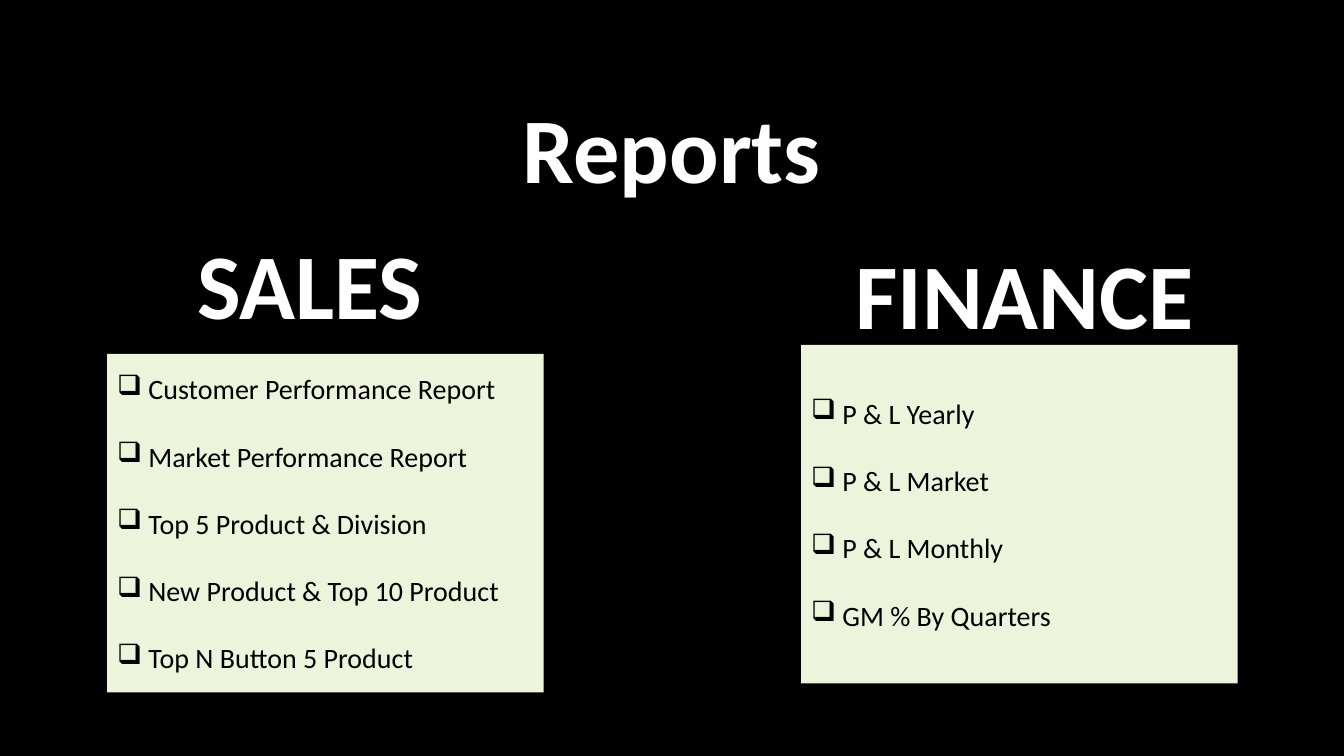
from lxml.etree import SubElement
from pptx import Presentation
from pptx.dml.color import RGBColor
from pptx.enum.shapes import MSO_SHAPE
from pptx.enum.text import MSO_ANCHOR, PP_ALIGN
from pptx.oxml.ns import qn
from pptx.util import Cm, Pt


def rgb(value):
    return RGBColor.from_string(value)


class Deck:
    """Hold the style and the current slide, and draw its elements."""

    BACK, PANEL = "000000", "ECF5DB"
    HEADING = {"name": "Calibri", "size": Pt(66), "bold": True}
    ITEM = {"name": "Calibri", "size": Pt(20), "bold": False}
    HEADING_COLOR, ITEM_COLOR = "FFFFFF", "000000"
    HEADING_H, PANEL_W, PANEL_H = 3.07, 11, 8.53
    INDENT, GAP = Cm(0.79), Pt(24)

    def __init__(self, prs):
        self.s = prs.slides.add_slide(prs.slide_layouts[6])
        fill = self.s.background.fill
        fill.solid()
        fill.fore_color.rgb = rgb(self.BACK)

    def run(self, p, text, style, color):
        r = p.add_run()
        r.text = text
        for name, value in style.items():
            setattr(r.font, name, value)
        r.font.color.rgb = rgb(color)

    def heading(self, text, x, y, w):
        sp = self.s.shapes.add_textbox(Cm(x), Cm(y), Cm(w), Cm(self.HEADING_H))
        tf = sp.text_frame
        tf.word_wrap = True
        p = tf.paragraphs[0]
        p.alignment = PP_ALIGN.CENTER
        self.run(p, text, self.HEADING, self.HEADING_COLOR)

    def bullet(self, p):
        pPr = p._p.get_or_add_pPr()
        pPr.set("marL", str(self.INDENT))
        pPr.set("indent", str(-self.INDENT))
        SubElement(pPr, qn("a:buChar")).set("char", "❑")

    def checklist(self, items, x, y):
        sp = self.s.shapes.add_shape(
            MSO_SHAPE.RECTANGLE, Cm(x), Cm(y), Cm(self.PANEL_W), Cm(self.PANEL_H))
        sp.shadow.inherit = False
        sp.fill.solid()
        sp.fill.fore_color.rgb = rgb(self.PANEL)
        sp.line.fill.background()
        tf = sp.text_frame
        tf.word_wrap = True
        tf.vertical_anchor = MSO_ANCHOR.MIDDLE
        for i, item in enumerate(items):
            p = tf.add_paragraph() if i else tf.paragraphs[0]
            p.alignment = PP_ALIGN.LEFT
            p.space_before = self.GAP if i else Pt(0)
            self.bullet(p)
            self.run(p, item, self.ITEM, self.ITEM_COLOR)


def main():
    prs = Presentation()
    prs.slide_width, prs.slide_height = Cm(33.87), Cm(19.05)
    deck = Deck(prs)
    deck.heading("Reports", 0, 2.16, 33.87)
    deck.heading("SALES", 3.53, 5.61, 8.56)
    deck.heading("FINANCE", 20.17, 5.84, 11.3)
    deck.checklist([
        "Customer Performance Report",
        "Market Performance Report",
        "Top 5 Product & Division",
        "New Product & Top 10 Product",
        "Top N Button 5 Product",
    ], 2.7, 8.92)
    deck.checklist([
        "P & L Yearly",
        "P & L Market",
        "P & L Monthly",
        "GM % By Quarters",
    ], 20.19, 8.69)
    prs.save("out.pptx")


if __name__ == "__main__":
    main()
